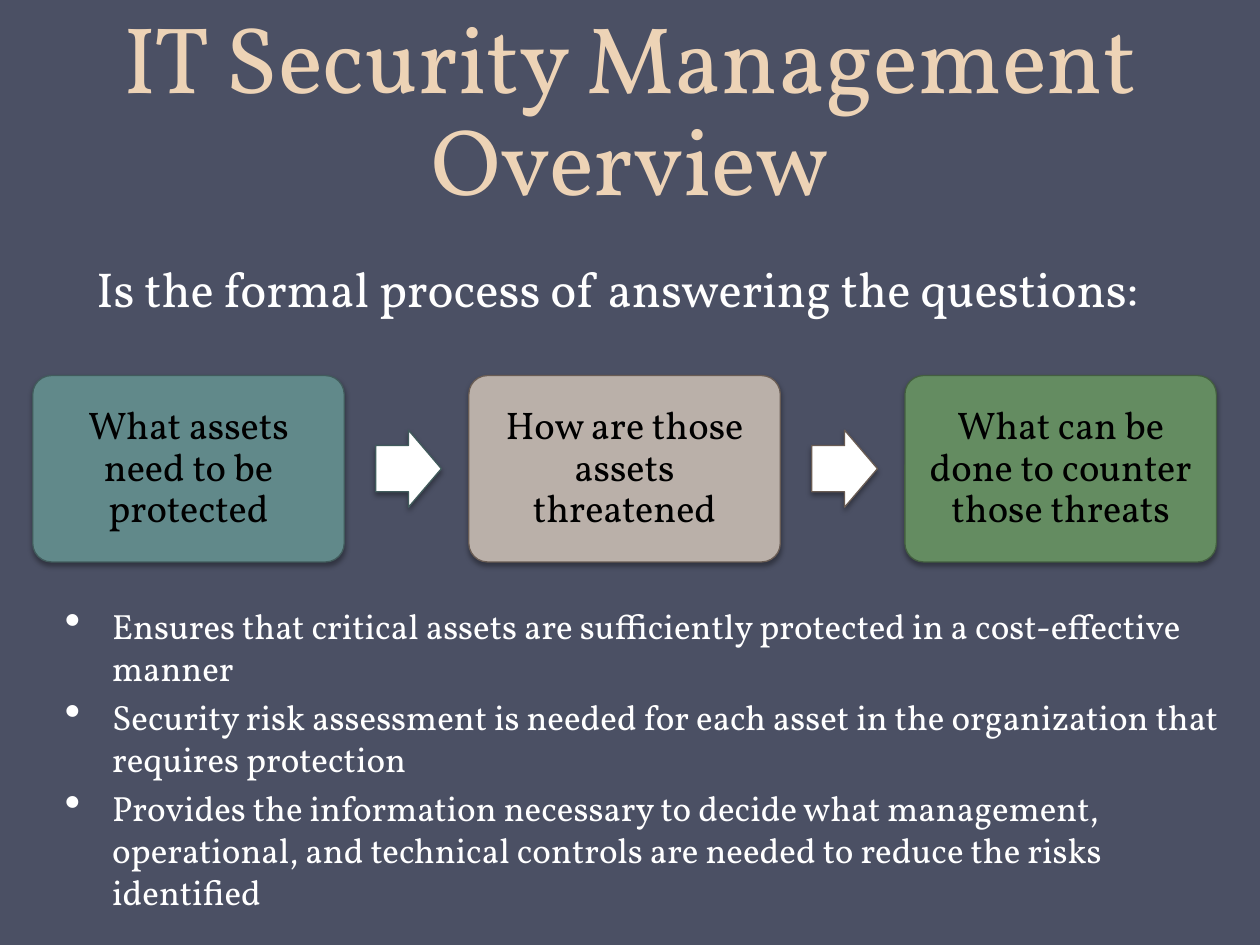
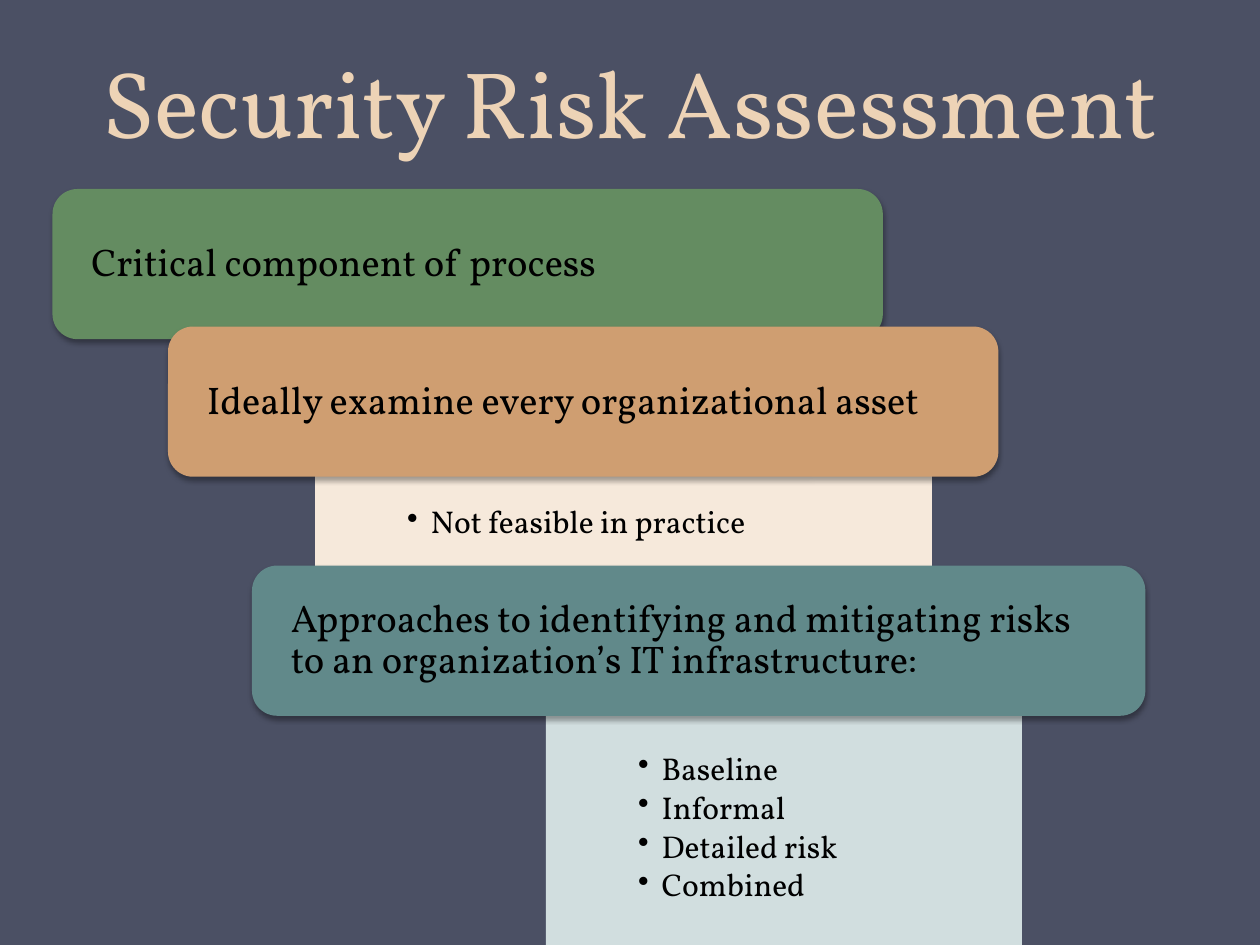
from dataclasses import dataclass
from typing import NamedTuple, Optional

from lxml import etree
from pptx import Presentation
from pptx import util as u
from pptx.dml import color as c
from pptx.enum import shapes, text
from pptx.oxml import ns
from pptx.shapes import autoshape
from pptx.slide import Slide
from pptx.text import text as t


@dataclass(frozen=True)
class Theme:
    font: str = "Vollkorn"
    background: str = "4B5064"
    title: str = "EDD3B6"
    light: str = "FFFFFF"
    dark: str = "000000"
    teal: str = "61898A"
    teal_edge: str = "415B5C"
    teal_pale: str = "D1DEDF"
    stone: str = "BAB0A9"
    stone_edge: str = "695C54"
    green: str = "648C61"
    green_edge: str = "435E40"
    orange: str = "CF9E71"
    orange_pale: str = "F6E9DB"
    title_size: int = 54
    lead_size: int = 28
    label_size: int = 22
    body_size: int = 20
    detail_size: int = 18


THEME = Theme()


class Box(NamedTuple):
    left: float
    top: float
    width: float
    height: float

    def lengths(self) -> list[u.Length]:
        return [u.Pt(value) for value in self]


class Insets(NamedTuple):
    left: float
    top: float
    right: float
    bottom: float


@dataclass(frozen=True)
class TextStyle:
    size: int
    color: str
    align: text.PP_ALIGN = text.PP_ALIGN.LEFT
    anchor: text.MSO_ANCHOR = text.MSO_ANCHOR.TOP
    insets: Insets = Insets(7.2, 3.6, 7.2, 3.6)
    line_spacing: float | u.Length = 1.0
    before: float = 0
    after: float = 0
    bullet_indent: float = 0
    bullet_percent: int = 100


TITLE = TextStyle(THEME.title_size, THEME.title, text.PP_ALIGN.CENTER,
                  text.MSO_ANCHOR.BOTTOM, line_spacing=u.Pt(58))
LEAD = TextStyle(THEME.lead_size, THEME.light)
BODY = TextStyle(THEME.body_size, THEME.light, before=4,
                 bullet_indent=27, bullet_percent=130)
CARD = TextStyle(THEME.label_size, THEME.dark, text.PP_ALIGN.CENTER,
                 text.MSO_ANCHOR.MIDDLE, Insets(6.6, 6.6, 6.6, 6.6), 0.9)
BAR = TextStyle(THEME.label_size, THEME.dark, anchor=text.MSO_ANCHOR.MIDDLE,
                insets=Insets(18, 0, 18, 0), line_spacing=0.9)
DETAIL = TextStyle(THEME.detail_size, THEME.dark, insets=Insets(52.6, 60.5, 52.6, 10),
                   line_spacing=0.9, after=2.7, bullet_indent=13.5)


class Card(NamedTuple):
    label: str
    fill: str
    edge: str


class Panel(NamedTuple):
    box: Box
    fill: str
    items: list[str]


class Step(NamedTuple):
    label: str
    box: Box
    fill: str
    panel: Optional[Panel] = None


CARDS = [
    Card("What assets need to be protected", THEME.teal, THEME.teal_edge),
    Card("How are those assets threatened", THEME.stone, THEME.stone_edge),
    Card("What can be done to counter those threats", THEME.green, THEME.green_edge),
]
FIRST_CARD = Box(18.7, 214.6, 178, 106.5)
CARD_STEP = 249.2
ARROW_GAP, ARROW_WIDTH, ARROW_HEIGHT = 18, 37.5, 44

BENEFITS = [
    "Ensures that critical assets are sufficiently protected in a cost-effective manner",
    "Security risk assessment is needed for each asset in the organization "
    "that requires protection",
    "Provides the information necessary to decide what management, operational, "
    "and technical controls are needed to reduce the risks identified",
]

BAR_HEIGHT = 85.8
STEPS = [
    Step("Critical component of process", Box(30, 108, 474.5, BAR_HEIGHT), THEME.green,
         Panel(Box(180, 229, 352.5, 94.3), THEME.orange_pale, ["Not feasible in practice"])),
    Step("Ideally examine every organizational asset",
         Box(96, 186.6, 474.5, BAR_HEIGHT), THEME.orange,
         Panel(Box(312, 370, 272, 170), THEME.teal_pale,
               ["Baseline", "Informal", "Detailed risk", "Combined"])),
    Step("Approaches to identifying and mitigating risks to an organization’s "
         "IT infrastructure:", Box(144, 323.2, 510.5, BAR_HEIGHT), THEME.teal),
]


def add_bullet(paragraph: t._Paragraph, style: TextStyle) -> None:
    properties = paragraph._p.get_or_add_pPr()
    properties.set("marL", str(u.Pt(style.bullet_indent)))
    properties.set("indent", str(-u.Pt(style.bullet_indent)))
    size = etree.SubElement(properties, ns.qn("a:buSzPct"))
    size.set("val", str(style.bullet_percent * 1000))
    etree.SubElement(properties, ns.qn("a:buChar")).set("char", "•")


def write_text(frame: t.TextFrame, lines: list[str], style: TextStyle) -> None:
    frame.word_wrap = True
    frame.auto_size = text.MSO_AUTO_SIZE.NONE
    frame.vertical_anchor = style.anchor
    frame.margin_left, frame.margin_top, frame.margin_right, frame.margin_bottom = (
        u.Pt(value) for value in style.insets)
    for index, line in enumerate(lines):
        paragraph = frame.add_paragraph() if index else frame.paragraphs[0]
        paragraph.text = line
        paragraph.alignment = style.align
        paragraph.line_spacing = style.line_spacing
        paragraph.space_before = u.Pt(style.before if index else 0)
        paragraph.space_after = u.Pt(style.after)
        if style.bullet_indent:
            add_bullet(paragraph, style)
        paragraph.font.name = THEME.font
        paragraph.font.size = u.Pt(style.size)
        paragraph.font.color.rgb = c.RGBColor.from_string(style.color)


def add_text(slide: Slide, box: Box, lines: list[str], style: TextStyle) -> None:
    write_text(slide.shapes.add_textbox(*box.lengths()).text_frame, lines, style)


def add_shadow(shape: autoshape.Shape) -> None:
    effects = shape._element.spPr.find(ns.qn("a:effectLst"))
    shadow = etree.SubElement(effects, ns.qn("a:outerShdw"), blurRad=str(u.Pt(3.1)),
                              dist=str(u.Pt(1.8)), dir="5400000", rotWithShape="0")
    color = etree.SubElement(shadow, ns.qn("a:srgbClr"), val=THEME.dark)
    etree.SubElement(color, ns.qn("a:alpha"), val="35000")


def add_block(slide: Slide, kind: shapes.MSO_SHAPE, box: Box, fill: str,
              edge: Optional[str] = None, shadow: bool = True) -> autoshape.Shape:
    shape = slide.shapes.add_shape(kind, *box.lengths())
    shape.fill.solid()
    shape.fill.fore_color.rgb = c.RGBColor.from_string(fill)
    if edge:
        shape.line.color.rgb = c.RGBColor.from_string(edge)
        shape.line.width = u.Pt(0.75)
    else:
        shape.line.fill.background()
    shape.shadow.inherit = False
    if shadow:
        add_shadow(shape)
    return shape


def add_titled_slide(presentation: Presentation, title: str, box: Box) -> Slide:
    slide = presentation.slides.add_slide(presentation.slide_layouts.get_by_name("Title Only"))
    placeholder = slide.shapes.title
    placeholder.left, placeholder.top, placeholder.width, placeholder.height = box.lengths()
    write_text(placeholder.text_frame, [title], TITLE)
    return slide


def add_cards(slide: Slide) -> None:
    for index, card in enumerate(CARDS):
        box = FIRST_CARD._replace(left=FIRST_CARD.left + index * CARD_STEP)
        shape = add_block(slide, shapes.MSO_SHAPE.ROUNDED_RECTANGLE, box, card.fill, card.edge)
        shape.adjustments[0] = 0.1
        write_text(shape.text_frame, [card.label], CARD)
        if index < len(CARDS) - 1:
            arrow_box = Box(box.left + box.width + ARROW_GAP,
                            box.top + (box.height - ARROW_HEIGHT) / 2,
                            ARROW_WIDTH, ARROW_HEIGHT)
            arrow = add_block(slide, shapes.MSO_SHAPE.RIGHT_ARROW, arrow_box,
                              THEME.light, card.edge)
            arrow.adjustments[0] = 0.6
            arrow.adjustments[1] = 0.5


def add_steps(slide: Slide) -> None:
    for step in STEPS:
        bar = add_block(slide, shapes.MSO_SHAPE.ROUNDED_RECTANGLE, step.box, step.fill)
        write_text(bar.text_frame, [step.label], BAR)
        if step.panel:
            panel = add_block(slide, shapes.MSO_SHAPE.RECTANGLE, step.panel.box,
                              step.panel.fill, shadow=False)
            write_text(panel.text_frame, step.panel.items, DETAIL)


def main() -> None:
    presentation = Presentation()
    presentation.slide_width, presentation.slide_height = u.Pt(720), u.Pt(540)
    background = presentation.slide_master.background.fill
    background.solid()
    background.fore_color.rgb = c.RGBColor.from_string(THEME.background)

    overview = add_titled_slide(presentation, "IT Security Management Overview",
                                Box(36, 0, 648, 126))
    add_text(overview, Box(30, 342, 678, 198), BENEFITS, BODY)
    add_cards(overview)
    add_text(overview, Box(48, 144, 636, 63),
             ["Is the formal process of answering the questions:"], LEAD)

    assessment = add_titled_slide(presentation, "Security Risk Assessment",
                                  Box(36, 0, 648, 93.6))
    add_steps(assessment)

    presentation.save("out.pptx")


if __name__ == "__main__":
    main()
